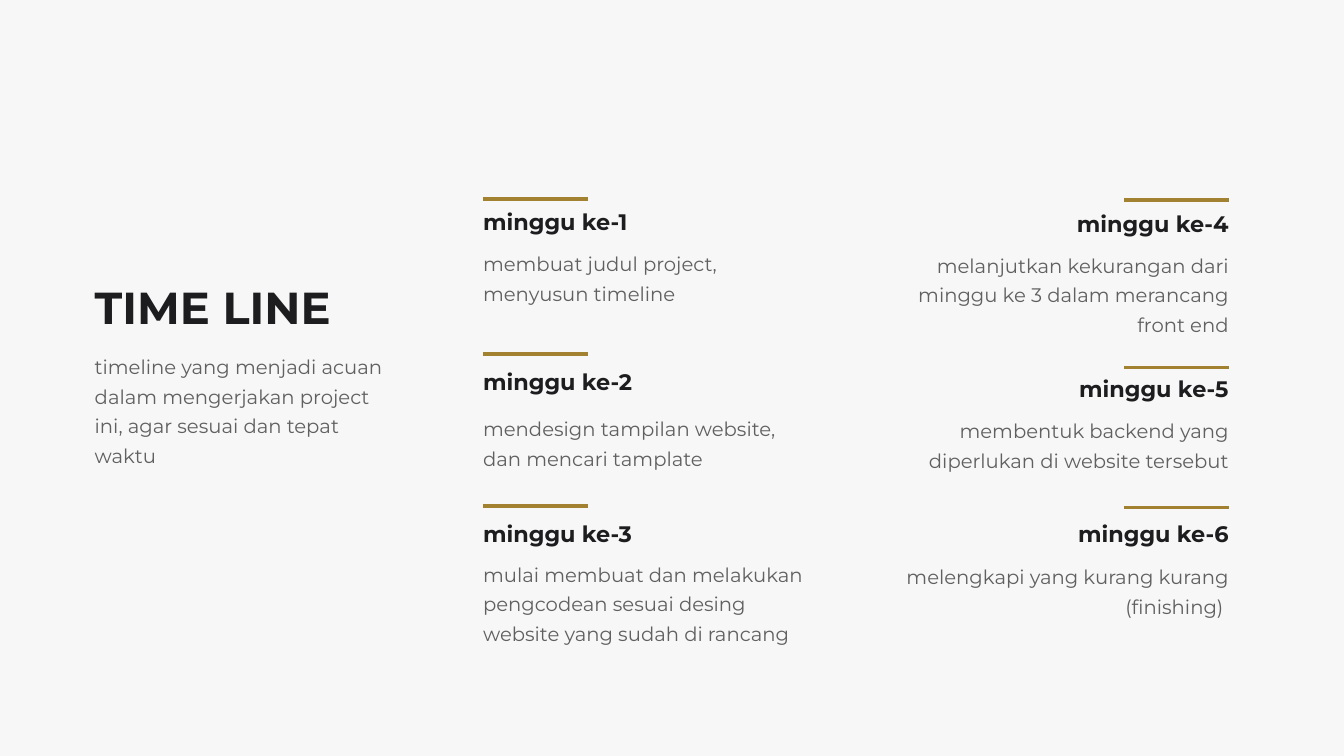
from lxml.etree import SubElement
from pptx import Presentation
from pptx.dml.color import RGBColor
from pptx.enum.shapes import MSO_CONNECTOR
from pptx.enum.text import MSO_ANCHOR, MSO_AUTO_SIZE, PP_ALIGN
from pptx.oxml.ns import qn
from pptx.util import Cm, Pt

BACKGROUND = RGBColor(0xF7, 0xF7, 0xF7)
INK = RGBColor(0x1D, 0x1D, 0x1F)
GREY = RGBColor(0x60, 0x60, 0x60)
GOLD = RGBColor(0xA2, 0x82, 0x31)
FONT = "Montserrat"

COLUMN_WIDTH = 12.52
RULE_WIDTH = 3.95

# Each week: top, heading offset, text offset, text height, heading, text
LEFT_WEEKS = [
    (7.52, 0.25, 1.8, 2.16, "minggu ke-1", "membuat judul project, menyusun timeline"),
    (13.39, 0.46, 2.16, 2.16, "minggu ke-2", "mendesign tampilan website, dan mencari tamplate"),
    (19.13, 0.46, 1.93, 3.28, "minggu ke-3",
     "mulai membuat dan melakukan pengcodean sesuai desing website yang sudah di rancang"),
]
RIGHT_WEEKS = [
    (7.57, 0.28, 1.8, 3.28, "minggu ke-4",
     "melanjutkan kekurangan dari minggu ke 3 dalam merancang front end"),
    (13.89, 0.2, 1.73, 2.16, "minggu ke-5", "membentuk backend yang diperlukan di website tersebut"),
    (19.18, 0.41, 1.96, 2.16, "minggu ke-6", "melengkapi yang kurang kurang (finishing) "),
]


def write_text(shape, text, size, leading, color, bold=False, align=PP_ALIGN.LEFT):
    """Fill a shape with one formatted paragraph and no margins."""
    frame = shape.text_frame
    frame.word_wrap = True
    frame.auto_size = MSO_AUTO_SIZE.NONE
    frame.vertical_anchor = MSO_ANCHOR.TOP
    frame.margin_left = frame.margin_right = frame.margin_top = frame.margin_bottom = 0
    paragraph = frame.paragraphs[0]
    paragraph.alignment = align
    paragraph.line_spacing = Pt(leading)
    paragraph.space_before = Pt(0)
    run = paragraph.add_run()
    run.text = text
    run.font.name = FONT
    run.font.size = Pt(size)
    run.font.bold = bold
    run.font.color.rgb = color


def place(shape, left, top, width, height):
    """Move and size a shape, in centimetres."""
    shape.left, shape.top = Cm(left), Cm(top)
    shape.width, shape.height = Cm(width), Cm(height)


def add_intro(slide, left, top):
    """Place the title and the description in their placeholders."""
    title, body = slide.shapes.title, slide.placeholders[1]
    place(title, left, top, 14.5, 2.26)
    write_text(title, "TIME LINE", 48, 67.2, INK, bold=True)
    place(body, left, top + 2.97, 11.56, 4.4)
    write_text(body, "timeline yang menjadi acuan dalam mengerjakan project ini, "
               "agar sesuai dan tepat waktu", 21, 31.5, GREY)
    properties = body.text_frame.paragraphs[0]._p.get_or_add_pPr()
    properties.set("marL", "0")
    properties.set("indent", "0")
    SubElement(properties, qn("a:buNone"))


def add_rule(slide, left, top):
    """Draw the short gold line above a week."""
    rule = slide.shapes.add_connector(
        MSO_CONNECTOR.STRAIGHT, Cm(left), Cm(top), Cm(left + RULE_WIDTH), Cm(top))
    rule.line.color.rgb = GOLD
    rule.line.width = Pt(3.75)
    SubElement(rule._element.spPr, qn("a:effectLst"))


def add_weeks(slide, left, weeks, align):
    """Place one column of weeks, aligned to its left or right edge."""
    rule_shift = COLUMN_WIDTH - RULE_WIDTH if align == PP_ALIGN.RIGHT else 0
    for top, heading_offset, text_offset, text_height, heading, text in weeks:
        add_rule(slide, left + rule_shift, top)
        heading_box = slide.shapes.add_textbox(
            Cm(left), Cm(top + heading_offset), Cm(COLUMN_WIDTH), Cm(1.04))
        write_text(heading_box, heading, 24, 31.2, INK, bold=True, align=align)
        text_box = slide.shapes.add_textbox(
            Cm(left), Cm(top + text_offset), Cm(COLUMN_WIDTH), Cm(text_height))
        write_text(text_box, text, 21, 31.5, GREY, align=align)


def main():
    """Build the timeline slide and save it."""
    presentation = Presentation()
    presentation.slide_width, presentation.slide_height = Cm(50.8), Cm(28.58)
    slide = presentation.slides.add_slide(presentation.slide_layouts[1])
    slide.background.fill.solid()
    slide.background.fill.fore_color.rgb = BACKGROUND
    add_intro(slide, 3.58, 10.24)
    add_weeks(slide, 18.26, LEFT_WEEKS, PP_ALIGN.LEFT)
    add_weeks(slide, 33.92, RIGHT_WEEKS, PP_ALIGN.RIGHT)
    presentation.save("out.pptx")


if __name__ == "__main__":
    main()
